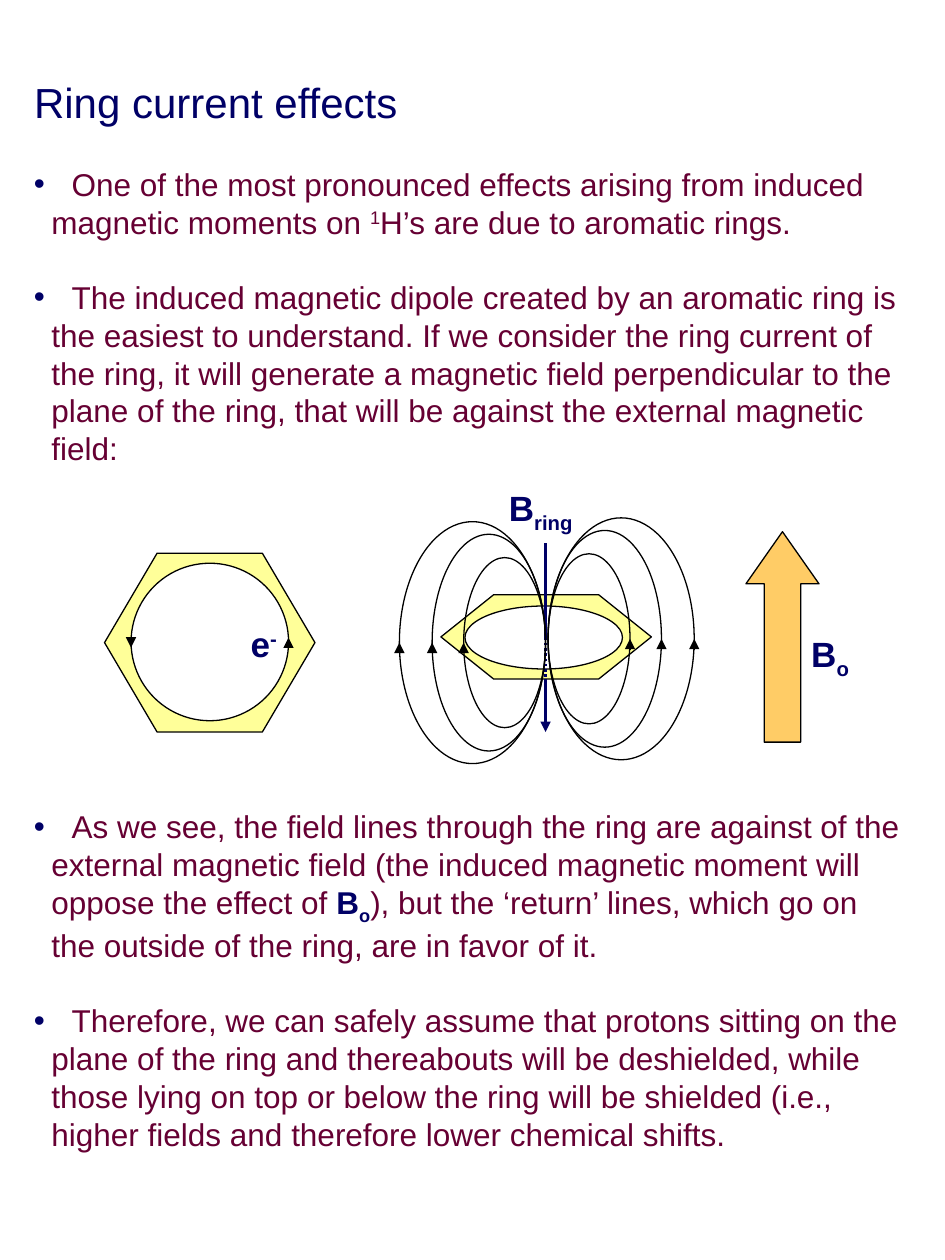
from lxml import etree
from pptx import Presentation
from pptx import util as u
from pptx.dml.color import RGBColor
from pptx.enum import dml, shapes, text
from pptx.oxml.ns import qn
from pptx.util import Inches

NAVY = RGBColor(0x00, 0x00, 0x66)
MAROON = RGBColor(0x66, 0x00, 0x33)
YELLOW = RGBColor(0xFF, 0xFF, 0x99)
ORANGE = RGBColor(0xFF, 0xCC, 0x66)
WHITE = RGBColor(0xFF, 0xFF, 0xFF)
BLACK = RGBColor(0x00, 0x00, 0x00)

FONT = "Arial"
LINE_PITCH = 21.57
SUBSCRIPT_PITCH = 24.5
SUPER, SUB = "30000", "-25000"
FIELD_LOOPS = [(1.16, 1.92), (0.9, 1.72), (0.65, 1.35)]


def plain(words):
    return (words, MAROON, False, None)


# Each point is a list of lines; a line is a list of (text, colour, bold, baseline).
UPPER_POINTS = [
    [
        [plain("One of the most pronounced effects arising from induced")],
        [plain("magnetic moments on "), ("1", MAROON, False, SUPER),
         plain("H’s are due to aromatic rings.")],
    ],
    [
        [plain("The induced magnetic dipole created by an aromatic ring is")],
        [plain("the easiest to understand. If we consider the ring current of")],
        [plain("the ring, it will generate a magnetic field perpendicular to the")],
        [plain("plane of the ring, that will be against the external magnetic")],
        [plain("field:")],
    ],
]
LOWER_POINTS = [
    [
        [plain("As we see, the field lines through the ring are against of the")],
        [plain("external magnetic field (the induced magnetic moment will")],
        [plain("oppose the effect of "), ("B", NAVY, True, None),
         ("o", NAVY, True, SUB), plain("), but the ‘return’ lines, which go on")],
        [plain("the outside of the ring, are in favor of it.")],
    ],
    [
        [plain("Therefore, we can safely assume that protons sitting on the")],
        [plain("plane of the ring and thereabouts will be deshielded, while")],
        [plain("those lying on top or below the ring will be shielded (i.e.,")],
        [plain("higher fields and therefore lower chemical shifts.")],
    ],
]


def add_span(para, words, size, color, bold=False, baseline=None):
    span = para.add_run()
    span.text = words
    span.font.name = FONT
    span.font.size = u.Pt(size)
    span.font.bold = bold
    span.font.color.rgb = color
    if baseline:
        span.font._element.set("baseline", baseline)


def indent(para, left, first):
    properties = para._p.get_or_add_pPr()
    properties.set("marL", str(Inches(left)))
    properties.set("indent", str(Inches(first)))
    return properties


def add_bullet(para):
    properties = indent(para, 0.3, -0.3)
    color = etree.SubElement(properties, qn("a:buClr"))
    etree.SubElement(color, qn("a:srgbClr")).set("val", str(NAVY))
    etree.SubElement(properties, qn("a:buFont")).set("typeface", FONT)
    etree.SubElement(properties, qn("a:buChar")).set("char", "•")


def add_title(page):
    title = page.shapes.title
    title.left, title.top = Inches(0.17), Inches(0.56)
    title.width, title.height = Inches(7.17), Inches(0.5)
    frame = title.text_frame
    frame.vertical_anchor = text.MSO_ANCHOR.TOP
    para = frame.paragraphs[0]
    para.alignment = text.PP_ALIGN.LEFT
    add_span(para, "Ring current effects", 24, NAVY)


def add_points(page, top, height, points):
    """Bulleted first lines stand further in than the lines that follow them."""
    box = page.shapes.add_textbox(Inches(0.17), Inches(top), Inches(7.17), Inches(height))
    frame = box.text_frame
    frame.word_wrap = True
    para = None
    for point in points:
        for number, line in enumerate(point):
            starts_box = para is None
            para = frame.paragraphs[0] if starts_box else frame.add_paragraph()
            has_subscript = any(span[3] == SUB for span in line)
            para.line_spacing = u.Pt(SUBSCRIPT_PITCH if has_subscript else LINE_PITCH)
            if number == 0:
                if not starts_box:
                    para.space_before = u.Pt(LINE_PITCH)
                add_bullet(para)
            else:
                indent(para, 0.14, 0)
            for words, color, bold, baseline in line:
                add_span(para, words, 18, color, bold, baseline)


def add_label(page, left, top, width, height, symbol, mark, baseline):
    box = page.shapes.add_textbox(Inches(left), Inches(top), Inches(width), Inches(height))
    frame = box.text_frame
    frame.word_wrap = False
    frame.auto_size = text.MSO_AUTO_SIZE.SHAPE_TO_FIT_TEXT
    para = frame.paragraphs[0]
    add_span(para, symbol, 20, NAVY, True)
    add_span(para, mark, 20, NAVY, True, baseline)


def add_outline(page, kind, left, top, width, height, fill=None, adjust=()):
    shape = page.shapes.add_shape(
        kind, Inches(left), Inches(top), Inches(width), Inches(height))
    shape.shadow.inherit = False
    if fill is None:
        shape.fill.background()
    else:
        shape.fill.solid()
        shape.fill.fore_color.rgb = fill
    shape.line.color.rgb = BLACK
    shape.line.width = u.Pt(0.75)
    for number, value in enumerate(adjust):
        shape.adjustments[number] = value


def add_line(page, x, start, end, color=BLACK, weight=0.75, arrow=True, dash=None):
    """Vertical line at x; an arrowhead sits at its end."""
    line = page.shapes.add_connector(
        shapes.MSO_CONNECTOR.STRAIGHT, Inches(x), Inches(start), Inches(x), Inches(end))
    line.line.color.rgb = color
    line.line.width = u.Pt(weight)
    if dash:
        line.line.dash_style = dash
    properties = line._element.spPr
    if arrow:
        etree.SubElement(properties.find(qn("a:ln")), qn("a:tailEnd")).set("type", "triangle")
    etree.SubElement(properties, qn("a:effectLst"))


def add_ring_from_above(page):
    kinds = shapes.MSO_SHAPE
    add_outline(page, kinds.HEXAGON, 0.83, 4.39, 1.67, 1.42, YELLOW, [0.294])
    add_outline(page, kinds.OVAL, 1.04, 4.47, 1.25, 1.25, WHITE)
    add_line(page, 2.29, 5.14, 5.06)
    add_line(page, 1.04, 5.06, 5.14)
    add_label(page, 1.89, 4.89, 0.41, 0.44, "e", "-", SUPER)


def add_field_loops(page, inner, middle, side):
    """Nested loops that touch at x = inner; side is 1 to the right, -1 to the left."""
    for width, height in FIELD_LOOPS:
        outer = inner + side * width
        add_outline(page, shapes.MSO_SHAPE.OVAL, min(inner, outer),
                    middle - height / 2, width, height)
        add_line(page, outer, middle + 0.08, middle)


def add_ring_from_side(page):
    kinds = shapes.MSO_SHAPE
    add_outline(page, kinds.HEXAGON, 3.5, 4.72, 1.67, 0.67, YELLOW, [0.625])
    add_outline(page, kinds.OVAL, 3.69, 4.81, 1.25, 0.5, WHITE)
    add_line(page, 4.33, 5.06, 4.31, NAVY, 1.5, arrow=False)
    add_line(page, 4.33, 5.06, 5.39, NAVY, 1.5, arrow=False,
             dash=dml.MSO_LINE.ROUND_DOT)
    add_line(page, 4.33, 5.39, 5.81, NAVY, 1.5)
    add_field_loops(page, 4.35, 5.07, 1)
    add_field_loops(page, 4.33, 5.1, -1)
    add_label(page, 3.94, 3.81, 0.72, 0.48, "B", "ring", SUB)


def add_external_field(page):
    add_outline(page, shapes.MSO_SHAPE.UP_ARROW, 5.92, 4.22, 0.58, 1.67, ORANGE, [0.5, 0.714])
    add_label(page, 6.34, 4.97, 0.5, 0.48, "B", "o", SUB)


def main():
    deck = Presentation()
    deck.slide_width, deck.slide_height = Inches(7.5), Inches(10)
    page = deck.slides.add_slide(deck.slide_layouts[5])
    add_title(page)
    add_points(page, 1.26, 2.5, UPPER_POINTS)
    add_ring_from_above(page)
    add_ring_from_side(page)
    add_external_field(page)
    add_points(page, 6.36, 2.84, LOWER_POINTS)
    deck.save("out.pptx")


if __name__ == "__main__":
    main()
